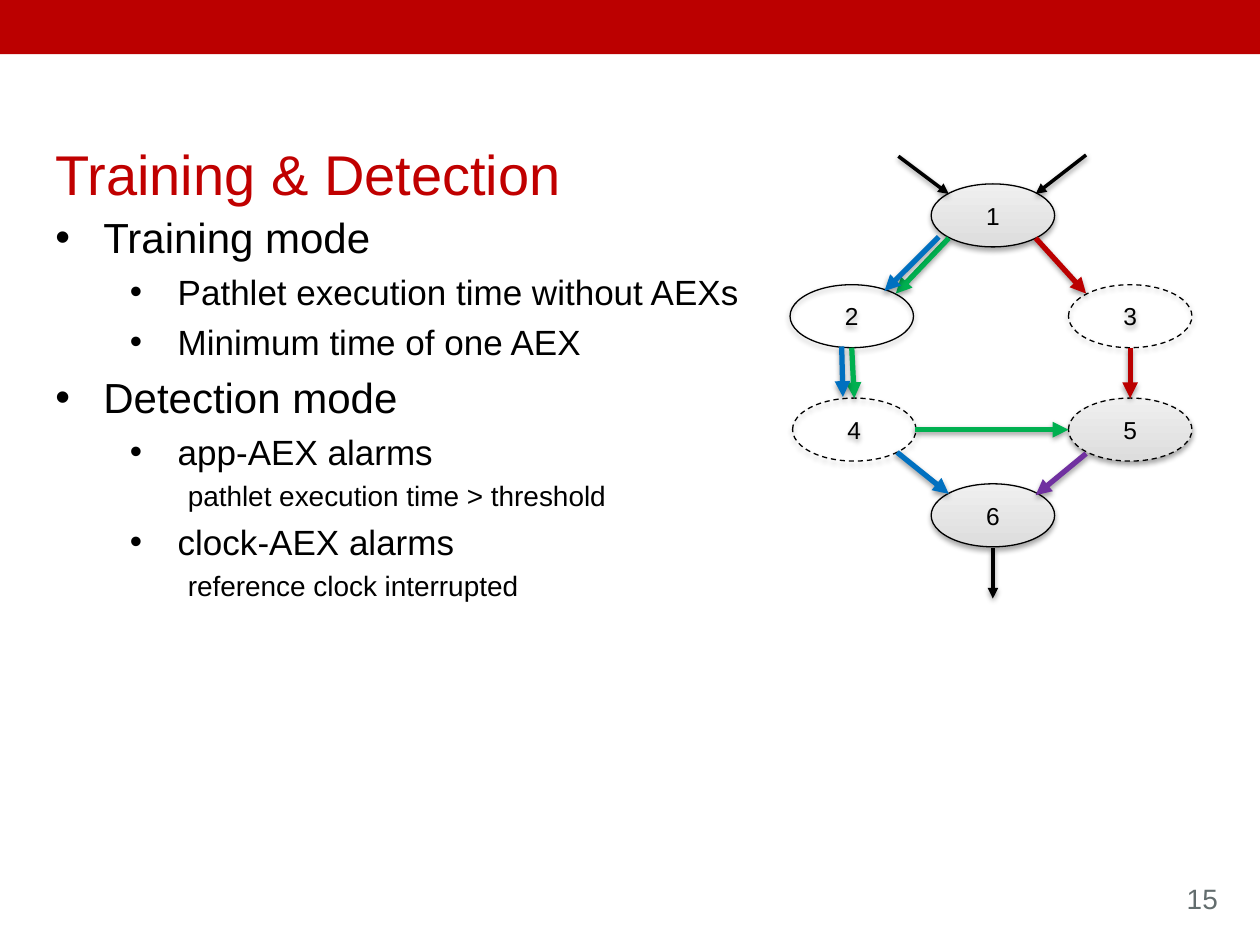
from lxml.etree import SubElement
from pptx import Presentation
from pptx.dml.color import RGBColor as RGB
from pptx.enum.dml import MSO_LINE
from pptx.enum.shapes import MSO_CONNECTOR, MSO_SHAPE
from pptx.enum.text import MSO_ANCHOR, MSO_AUTO_SIZE, PP_ALIGN
from pptx.oxml.ns import qn
from pptx.util import Inches, Pt

HUES = {"bar": "BB0000", "title": "C00000", "black": "000000", "gray": "636D6E",
        "dark": "DDDDDD", "light": "EFEFEF", "red": "BB0000",
        "green": "00B050", "blue": "0070C0", "purple": "7030A0"}
HUES = {name: RGB.from_string(code) for name, code in HUES.items()}


def style(font, size, hue):
    font.name, font.size, font.color.rgb = "Arial", Pt(size), HUES[hue]


def cast(effects, dist, alpha):
    """Put a soft shadow below the shape."""
    outer = SubElement(effects, qn("a:outerShdw"), blurRad="40000",
                       dist=str(dist), dir="5400000", rotWithShape="0")
    shade = SubElement(outer, qn("a:srgbClr"), val="000000")
    SubElement(shade, qn("a:alpha"), val=str(alpha))


deck = Presentation()
deck.slide_width, deck.slide_height = Inches(10), Inches(7.5)
slide = deck.slides.add_slide(deck.slide_layouts[1])
shapes = slide.shapes

# Title
title = shapes.title
title.left, title.top = Inches(0.34), Inches(1.06)
title.width, title.height = Inches(5.5), Inches(0.6)
frame = title.text_frame
frame.text = "Training & Detection"
frame.auto_size = MSO_AUTO_SIZE.NONE
frame.vertical_anchor = MSO_ANCHOR.TOP
frame.paragraphs[0].alignment = PP_ALIGN.LEFT
style(frame.paragraphs[0].runs[0].font, 32, "title")

# List: level and text
items = [(0, "Training mode"),
         (1, "Pathlet execution time without AEXs"),
         (1, "Minimum time of one AEX"),
         (0, "Detection mode"),
         (1, "app-AEX alarms"),
         (2, "pathlet execution time > threshold"),
         (1, "clock-AEX alarms"),
         (2, "reference clock interrupted")]
# Size, left margin, hanging indent and bullet of each level
levels = [(24, 0.38, -0.38, "•"), (20, 0.97, -0.38, "•"), (16, 1.05, 0, None)]

body = slide.placeholders[1]
body.left, body.top = Inches(0.34), Inches(1.63)
body.width, body.height = Inches(5.8), Inches(3.29)
frame = body.text_frame
frame.auto_size = MSO_AUTO_SIZE.NONE
for i, (level, text) in enumerate(items):
    para = frame.add_paragraph() if i else frame.paragraphs[0]
    size, left, hang, mark = levels[level]
    para.text, para.level = text, level
    para.space_before = Pt(round(size * 0.23, 1) if i else 0)
    props = para._p.get_or_add_pPr()
    props.set("marL", str(Inches(left)))
    props.set("indent", str(Inches(hang)))
    if mark:
        SubElement(props, qn("a:buFont"), typeface="Arial")
        SubElement(props, qn("a:buChar"), char=mark)
    else:
        SubElement(props, qn("a:buNone"))
    style(para.runs[0].font, size, "black")

# Top bar
bar = shapes.add_shape(MSO_SHAPE.RECTANGLE, 0, 0, Inches(10), Inches(0.43))
bar.shadow.inherit = False
bar.fill.solid()
bar.fill.fore_color.rgb = HUES["bar"]
bar.line.fill.background()

# Graph nodes: left, top, filled, dashed
nodes = {"1": (7.39, 1.46, True, False),
         "2": (6.27, 2.26, False, False),
         "3": (8.48, 2.26, False, True),
         "4": (6.29, 3.16, False, True),
         "5": (8.48, 3.16, True, True),
         "6": (7.39, 3.84, True, False)}
ovals = {}
for name, (left, top, filled, dashed) in nodes.items():
    oval = shapes.add_shape(MSO_SHAPE.OVAL, Inches(left), Inches(top),
                            Inches(0.98), Inches(0.5))
    ovals[name] = oval
    if filled:
        oval.fill.gradient()
        oval.fill.gradient_angle = 90
        for stop, hue in zip(oval.fill.gradient_stops, ("dark", "light")):
            stop.color.rgb = HUES[hue]
    else:
        oval.fill.background()
    oval.line.color.rgb, oval.line.width = HUES["black"], Pt(0.75)
    if dashed:
        oval.line.dash_style = MSO_LINE.DASH
    oval.shadow.inherit = False
    cast(oval._element.spPr.find(qn("a:effectLst")), 23000, 35000)
    frame = oval.text_frame
    frame.text = name
    frame.vertical_anchor = MSO_ANCHOR.MIDDLE
    frame.paragraphs[0].alignment = PP_ALIGN.CENTER
    style(frame.paragraphs[0].runs[0].font, 14, "black")

# Graph arrows: start, end, colour, node whose top is joined
arrows = [(7.13, 1.24, 7.53, 1.54, "black", None),
          (8.62, 1.23, 8.22, 1.54, "black", None),
          (7.88, 4.35, 7.88, 4.75, "black", None),
          (8.22, 1.89, 8.62, 2.33, "red", None),
          (8.97, 2.76, 8.97, 3.16, "red", "5"),
          (7.53, 1.89, 7.11, 2.33, "green", None),
          (6.76, 2.76, 6.78, 3.16, "green", "4"),
          (7.26, 3.41, 8.48, 3.41, "green", None),
          (7.45, 1.88, 7.02, 2.31, "blue", None),
          (6.68, 2.75, 6.69, 3.15, "blue", None),
          (7.12, 3.59, 7.53, 3.92, "blue", None),
          (8.62, 3.6, 8.22, 3.93, "purple", None)]
for *ends, hue, goal in arrows:
    arrow = shapes.add_connector(MSO_CONNECTOR.STRAIGHT, *map(Inches, ends))
    if goal:
        arrow.end_connect(ovals[goal], 0)
    arrow.line.color.rgb = HUES[hue]
    arrow.line.width = Pt(2 if hue == "black" else 3)
    SubElement(arrow.line._get_or_add_ln(), qn("a:tailEnd"), type="triangle")
    cast(SubElement(arrow._element.spPr, qn("a:effectLst")), 20000, 38000)

# Page number
page = shapes.add_textbox(Inches(9.32), Inches(6.95), Inches(0.48), Inches(0.37))
page.text_frame.text = "15"
page.text_frame.word_wrap = False
style(page.text_frame.paragraphs[0].runs[0].font, 16, "gray")

deck.save("out.pptx")
